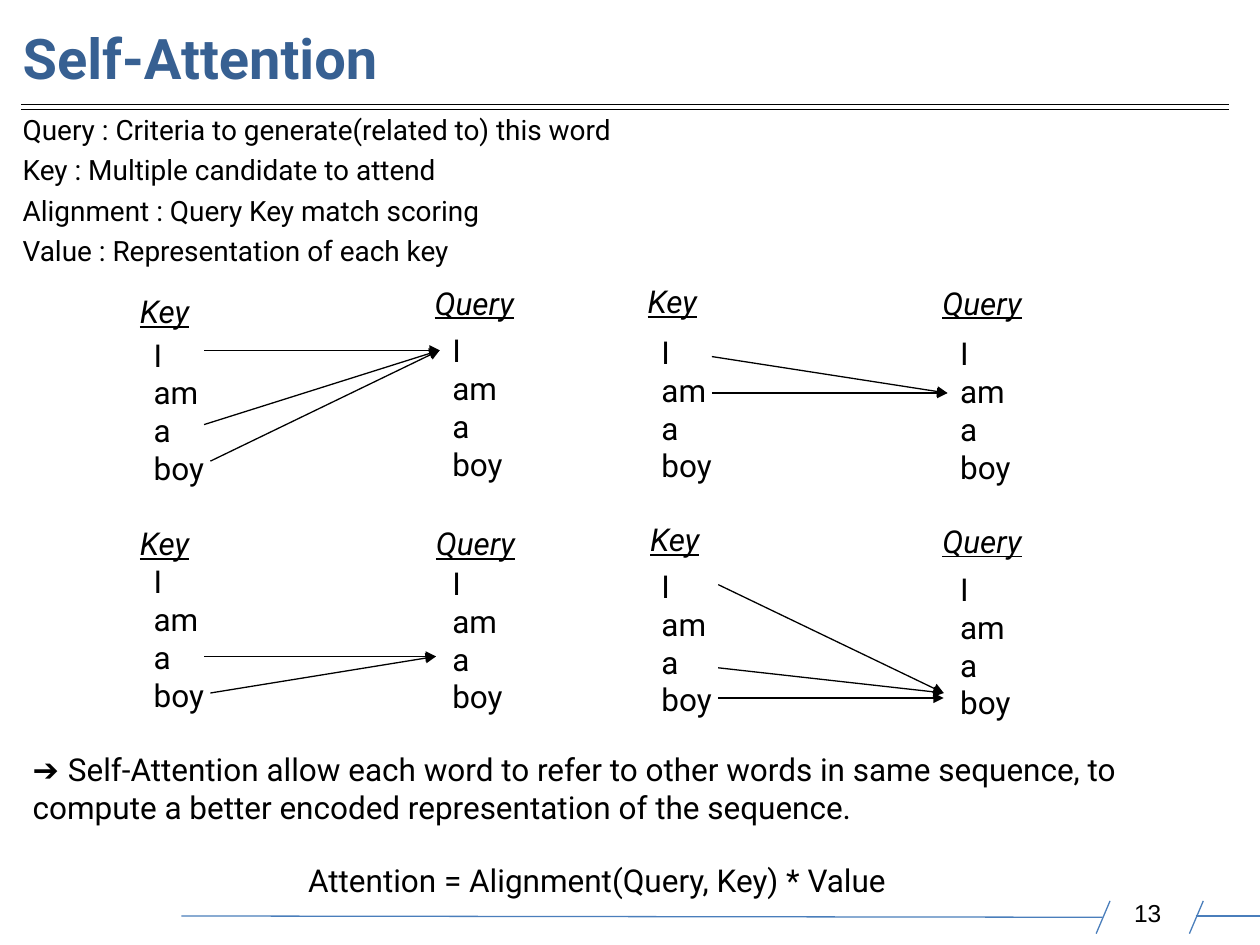
from dataclasses import dataclass

import pptx
import pptx.dml.color
import pptx.enum.shapes
import pptx.enum.text
import pptx.oxml.ns
import pptx.util
from lxml import etree
from pptx.util import Inches

ALIGN = pptx.enum.text.PP_ALIGN


@dataclass(frozen=True)
class Theme:
    font: str = "Roboto"
    number_font: str = "Arial"
    title_color: str = "376092"
    ink: str = "000000"
    footer_color: str = "4A7EBB"
    title_size: int = 32
    body_size: int = 18
    definition_size: int = 16
    number_size: int = 14
    line_width: float = 0.75


THEME = Theme()
SENTENCE = ["I", "am", "a", "boy"]
DEFINITIONS = [
    "Query : Criteria to generate(related to) this word",
    "Key : Multiple candidate to attend",
    "Alignment : Query Key match scoring",
    "Value : Representation of each key",
]
# heading, left, top, word indent, points between heading and words
WORD_COLUMNS = [
    ("Key", 1.11, 2.32, 0.11, 3.1),
    ("Query", 3.45, 2.25, 0.14, 5.8),
    ("Key", 5.14, 2.24, 0.11, 7.4),
    ("Query", 7.48, 2.25, 0.14, 7.5),
    ("Key", 1.11, 4.16, 0.11, 0.2),
    ("Query", 3.46, 4.16, 0.13, 1.2),
    ("Key", 5.16, 4.13, 0.09, 5),
    ("Query", 7.48, 4.14, 0.14, 6),
]
# query word reached, key words it attends to
ATTENTION = [
    ((3.49, 2.78), [(1.62, 2.78), (1.62, 3.37), (1.67, 3.66)]),
    ((7.52, 3.12), [(5.65, 2.83), (5.65, 3.12)]),
    ((3.46, 5.21), [(1.62, 5.21), (1.67, 5.5)]),
    ((7.49, 5.5), [(5.7, 4.64), (5.7, 5.3)]),
    ((7.49, 5.54), [(5.7, 5.54)]),
]
TITLE_RULES = [((0.17, y), (9.75, y)) for y in (0.83, 0.87)]
FOOTER_RULES = [
    ((1.44, 7.27), (8.75, 7.28)),
    ((9.49, 7.27), (10, 7.27)),
    ((8.81, 7.15), (8.7, 7.41)),
    ((9.55, 7.15), (9.44, 7.41)),
]


def rgb(color):
    return pptx.dml.color.RGBColor.from_string(color)


def prepare_frame(frame):
    """Wrapped text that starts exactly at the top left of its box."""
    frame.word_wrap = True
    frame.vertical_anchor = pptx.enum.text.MSO_ANCHOR.TOP
    frame.margin_left = frame.margin_top = 0
    frame.margin_right = frame.margin_bottom = 0
    return frame


def add_text_frame(slide, left, top, width, height):
    box = slide.shapes.add_textbox(
        Inches(left), Inches(top), Inches(width), Inches(height))
    return prepare_frame(box.text_frame)


def next_paragraph(frame, space_before=0):
    """Use the empty first paragraph, then append spaced ones."""
    if not frame.paragraphs[0].runs:
        return frame.paragraphs[0]
    paragraph = frame.add_paragraph()
    paragraph.space_before = pptx.util.Pt(space_before)
    return paragraph


def add_run(paragraph, text, size, color=THEME.ink, font=THEME.font):
    run = paragraph.add_run()
    run.text = text
    run.font.size = pptx.util.Pt(size)
    run.font.name = font
    run.font.color.rgb = rgb(color)
    return run


def add_line(slide, start, end, color=THEME.ink, arrow=False):
    line = slide.shapes.add_connector(
        pptx.enum.shapes.MSO_CONNECTOR.STRAIGHT,
        *(Inches(value) for value in start + end))
    line.line.color.rgb = rgb(color)
    line.line.width = pptx.util.Pt(THEME.line_width)
    qn = pptx.oxml.ns.qn
    properties = line._element.spPr
    if arrow:
        etree.SubElement(properties.find(qn("a:ln")), qn("a:tailEnd"),
                         type="triangle", w="med", len="med")
    etree.SubElement(properties, qn("a:effectLst"))


def set_title(slide, text):
    title = slide.shapes.title
    title.left, title.top = Inches(0.18), Inches(0.19)
    title.width, title.height = Inches(9.72), Inches(0.55)
    paragraph = prepare_frame(title.text_frame).paragraphs[0]
    paragraph.alignment = ALIGN.LEFT
    add_run(paragraph, text, THEME.title_size, THEME.title_color).font.bold = True


def add_definitions(slide):
    frame = add_text_frame(slide, 0.18, 0.84, 4.98, 1.3)
    for definition in DEFINITIONS:
        paragraph = next_paragraph(frame)
        paragraph.line_spacing = 1.2
        add_run(paragraph, definition, THEME.definition_size)


def add_word_column(slide, heading, left, top, indent, gap):
    frame = add_text_frame(slide, left, top, 0.7, 1.58)
    label = add_run(next_paragraph(frame), heading, THEME.body_size)
    label.font.italic = label.font.underline = True
    for index, word in enumerate(SENTENCE):
        paragraph = next_paragraph(frame, 0 if index else gap)
        paragraph._p.get_or_add_pPr().set("marL", str(Inches(indent)))
        add_run(paragraph, word, THEME.body_size)


def add_conclusion(slide):
    frame = add_text_frame(slide, 0.26, 5.95, 8.96, 1.2)
    summary = next_paragraph(frame)
    summary.line_spacing = 1.01
    add_run(summary, "➔ ", THEME.body_size, font=THEME.number_font)
    add_run(summary,
            "Self-Attention allow each word to refer to other words in same "
            "sequence, to compute a better encoded representation of the "
            "sequence.", THEME.body_size)
    formula = next_paragraph(frame, 19.9)
    formula.alignment = ALIGN.CENTER
    add_run(formula, "Attention = Alignment(Query, Key) * Value",
            THEME.body_size)


def add_page_number(slide, number):
    frame = add_text_frame(slide, 9, 7.13, 0.28, 0.26)
    add_run(next_paragraph(frame), number, THEME.number_size,
            font=THEME.number_font)


def main():
    deck = pptx.Presentation()
    deck.slide_width, deck.slide_height = Inches(10), Inches(7.5)
    slide = deck.slides.add_slide(deck.slide_layouts[5])

    for start, end in FOOTER_RULES:
        add_line(slide, start, end, THEME.footer_color)
    for start, end in TITLE_RULES:
        add_line(slide, start, end)
    set_title(slide, "Self-Attention")
    add_definitions(slide)
    for query, keys in ATTENTION:
        for key in keys:
            add_line(slide, key, query, arrow=True)
    for column in WORD_COLUMNS:
        add_word_column(slide, *column)
    add_conclusion(slide)
    add_page_number(slide, "13")

    deck.save("out.pptx")


if __name__ == "__main__":
    main()
